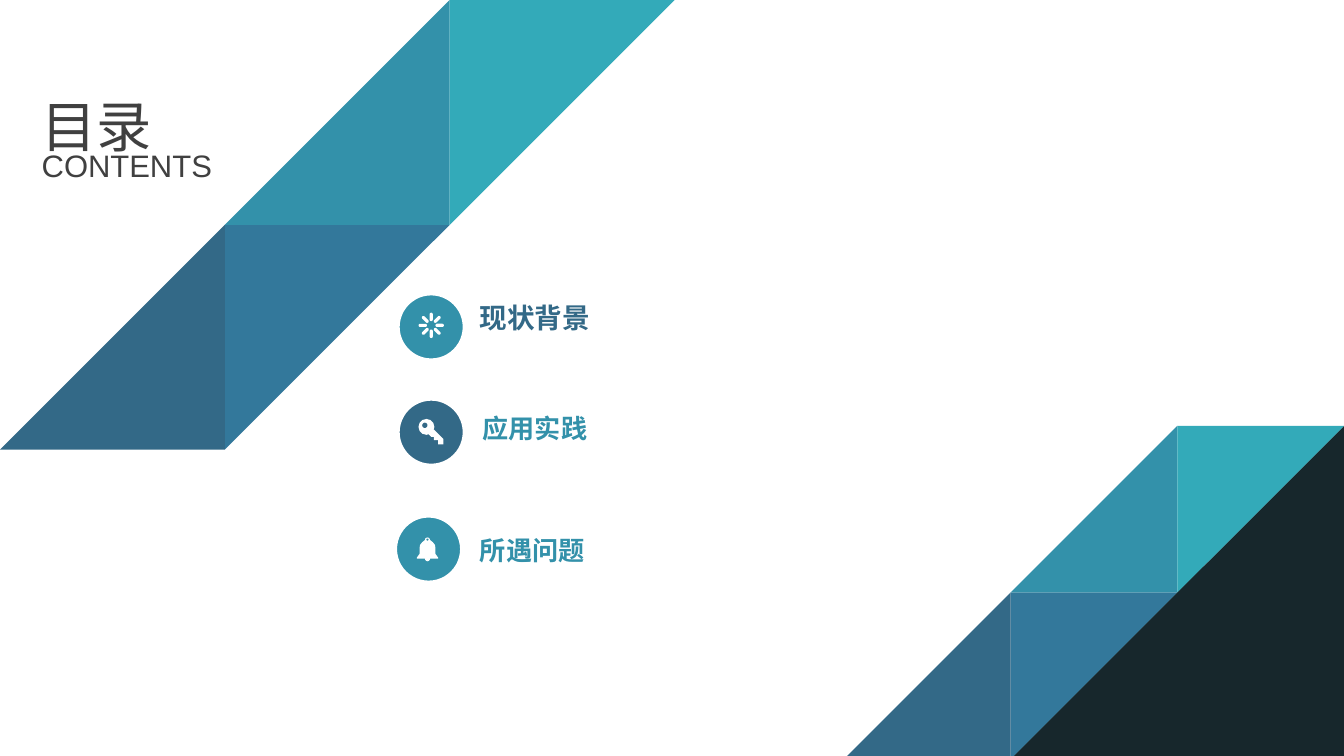
from math import cos, radians, sin

from pptx import Presentation
from pptx.dml.color import RGBColor
from pptx.enum.shapes import MSO_SHAPE
from pptx.enum.text import MSO_ANCHOR
from pptx.util import Cm, Pt

C = {"navy": "336987", "blue": "33789B", "teal": "3391AA", "aqua": "33AAB9",
     "dark": "17272C", "white": "FFFFFF", "grey": "404040"}

# Content, lengths in cm: text, left, top, width, height, font format
TITLES = [
    ("目录", 0.79, 1.75, 2.67, 1.02, {"size": Pt(29.6)}),
    ("CONTENTS", 0.79, 2.77, 3.5, 0.58, {"size": Pt(16.6)}),
]
# Text, size, text colour, text left, text middle, badge colour, badge centre
ITEMS = [
    ("现状背景", 14.8, "navy", 9.07, 6, "teal", (8.15, 6.18)),
    ("应用实践", 14, "teal", 9.12, 8.09, "navy", (8.15, 8.17)),
    ("所遇问题", 14, "teal", 9.07, 10.4, "teal", (8.1, 10.38)),
]
BADGE = 1.27

# Triangles in steps of one band unit
BAND = [
    ("blue", [(1, 1), (1, 2), (2, 1)]),
    ("teal", [(2, 1), (2, 0), (1, 1)]),
    ("navy", [(1, 2), (1, 1), (0, 2)]),
    ("aqua", [(2, 0), (2, 1), (3, 0)]),
]
CORNER = ("dark", [(3, 0), (3, 2), (1, 2)])

# Icon outlines as offsets from the icon centre
KEY_SHAFT = [(0.05, -0.05), (0.23, 0.13), (0.23, 0.23), (0.13, 0.23), (0.13, 0.15),
             (0.05, 0.15), (0.05, 0.09), (0, 0.09), (-0.05, 0.04), (-0.06, -0.06)]
BELL_HALF = [(0.05, -0.17), (0.1, -0.13), (0.14, -0.08), (0.15, -0.02),
             (0.15, 0.09), (0.2, 0.16), (0.2, 0.18)]

prs = Presentation()
prs.slide_width, prs.slide_height = Cm(25.4), Cm(14.29)
s = prs.slides.add_slide(prs.slide_layouts[6])


def rgb(name):
    return RGBColor.from_string(C[name])


def paint(sp, color):
    sp.shadow.inherit = False
    sp.fill.solid()
    sp.fill.fore_color.rgb = rgb(color)
    sp.line.fill.background()
    return sp


def polygon(points, color, x=0, y=0, unit=1):
    pts = [(Cm(x + px * unit), Cm(y + py * unit)) for px, py in points]
    fb = s.shapes.build_freeform(*pts[0])
    fb.add_line_segments(pts[1:], close=True)
    return paint(fb.convert_to_shape(), color)


def centred(kind, x, y, w, h, color):
    return paint(s.shapes.add_shape(kind, Cm(x - w / 2), Cm(y - h / 2), Cm(w), Cm(h)), color)


def disc(x, y, d, color):
    return centred(MSO_SHAPE.OVAL, x, y, d, d, color)


def text(content, left, top, width, height, font, color, anchor):
    tf = s.shapes.add_textbox(Cm(left), Cm(top), Cm(width), Cm(height)).text_frame
    frame = {"margin_left": 0, "margin_right": 0, "margin_top": 0, "margin_bottom": 0,
             "word_wrap": False, "vertical_anchor": anchor}
    for key, value in frame.items():
        setattr(tf, key, value)
    r = tf.paragraphs[0].add_run()
    r.text = content
    for key, value in {"name": "Arial", **font}.items():
        setattr(r.font, key, value)
    r.font.color.rgb = rgb(color)


def spinner(x, y, back):
    for angle in range(0, 360, 45):
        a = radians(angle)
        sp = centred(MSO_SHAPE.ROUNDED_RECTANGLE, x + 0.16 * cos(a),
                     y - 0.03 + 0.16 * sin(a), 0.16, 0.06, "white")
        sp.adjustments[0] = 0.5
        sp.rotation = angle


def key(x, y, back):
    polygon(KEY_SHAFT, "white", x, y)
    disc(x - 0.09, y - 0.1, 0.3, "white")
    disc(x - 0.12, y - 0.13, 0.1, back)


def bell(x, y, back):
    x -= 0.02
    disc(x, y - 0.17, 0.1, "white")
    disc(x, y + 0.18, 0.1, "white")
    polygon(BELL_HALF + [(-px, py) for px, py in reversed(BELL_HALF)], "white", x, y)
    disc(x, y - 0.18, 0.04, back)


# Badges and agenda lines
for item, icon in zip(ITEMS, (spinner, key, bell)):
    label, size, color, left, middle, back, (x, y) = item
    sp = disc(x, y, BADGE, back)
    sp.line.color.rgb = rgb("white")
    sp.line.width = Pt(2.25)
    icon(x, y, back)
    text(label, left, middle - 0.25, 7, 0.5, {"size": Pt(size), "bold": True},
         color, MSO_ANCHOR.MIDDLE)

# Heading
for *box, font in TITLES:
    text(*box, font, "grey", MSO_ANCHOR.TOP)

# Diagonal bands: lower right with dark corner, then upper left
for x, y, unit, parts in [(15.95, 8.05, 3.15, [CORNER] + BAND), (0, 0, 4.25, BAND)]:
    for color, points in parts:
        polygon(points, color, x, y, unit)

prs.save("out.pptx")
